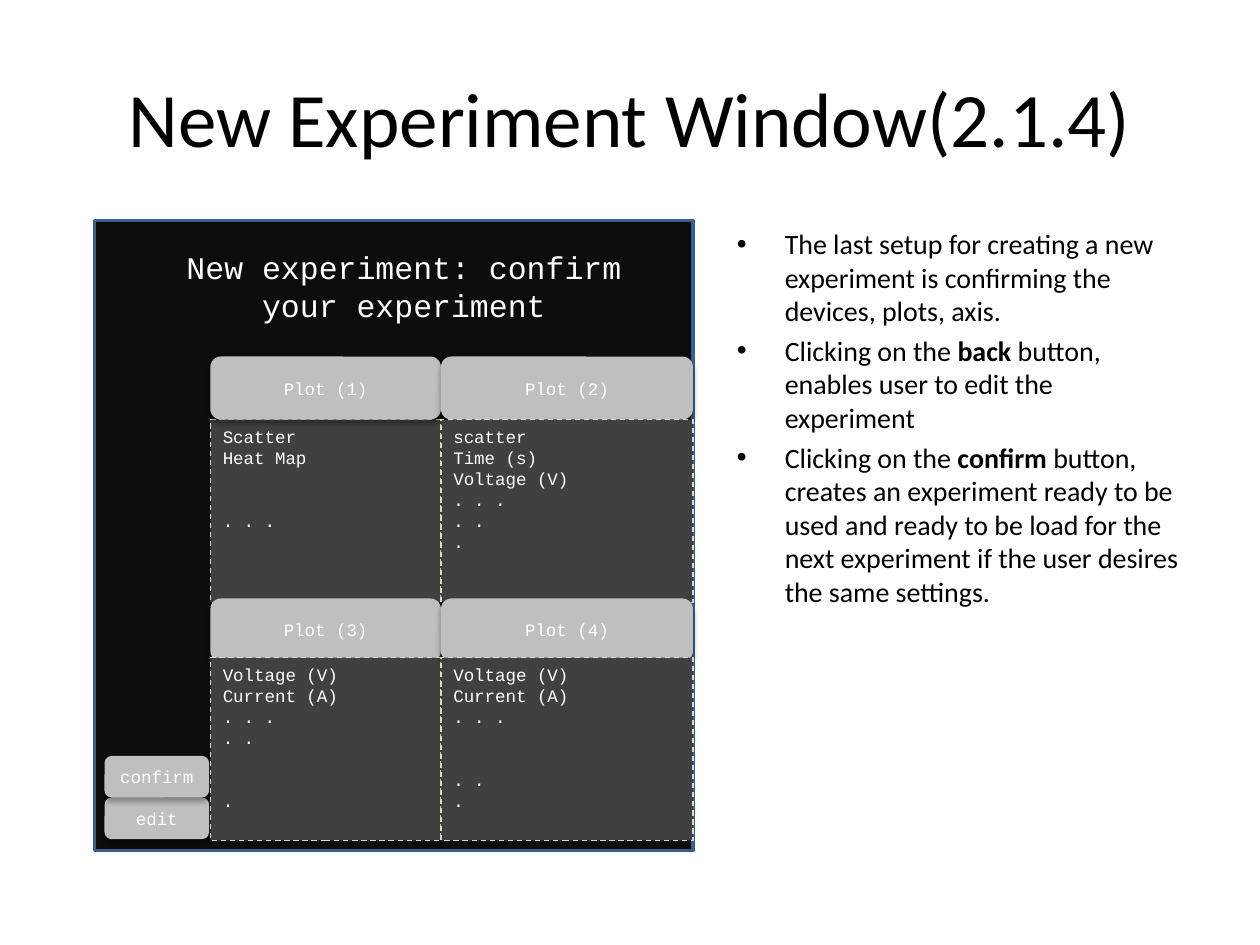
from dataclasses import dataclass
from lxml import etree
from pptx import Presentation
from pptx.dml.color import RGBColor
from pptx.enum.dml import MSO_LINE
from pptx.enum.shapes import MSO_SHAPE
from pptx.enum.text import MSO_ANCHOR, PP_ALIGN
from pptx.oxml import parse_xml
from pptx.oxml.ns import nsdecls, qn
from pptx.util import Inches, Pt

RECT = MSO_SHAPE.RECTANGLE
ROUND = MSO_SHAPE.ROUNDED_RECTANGLE
DASH = MSO_LINE.DASH
TOP, MIDDLE = MSO_ANCHOR.TOP, MSO_ANCHOR.MIDDLE
LEFT, CENTER = PP_ALIGN.LEFT, PP_ALIGN.CENTER


@dataclass(frozen=True)
class Theme:
    sans: str = "Calibri"
    mono: str = "Courier New"
    black: str = "000000"
    white: str = "FFFFFF"
    window: str = "0D0D0D"
    frame: str = "3A5F8C"
    button: str = "BFBFBF"
    panel: str = "404040"
    edge: str = "DDD9C3"
    title: float = 44
    head: float = 18
    body: float = 16
    small: float = 10
    gap: float = 24
    space: float = 3.4


class Deck:
    def __init__(self, slide, theme):
        self.slide = slide
        self.theme = theme

    def style(self, para, font, size, color, align=LEFT):
        para.alignment = align
        for run in para.runs:
            run.font.name = font
            run.font.size = Pt(size)
            run.font.color.rgb = RGBColor.from_string(color)

    def box(self, area, kind, fill, line=None, width=0):
        shape = self.slide.shapes.add_shape(kind, *map(Inches, area))
        shape.shadow.inherit = False
        shape.fill.solid()
        shape.fill.fore_color.rgb = RGBColor.from_string(fill)
        if line:
            shape.line.color.rgb = RGBColor.from_string(line)
            shape.line.width = Pt(width)
        else:
            shape.line.fill.background()
        return shape

    def text(self, area, words, font, size, color, anchor=TOP):
        frame = self.slide.shapes.add_textbox(*map(Inches, area)).text_frame
        frame.word_wrap = True
        frame.vertical_anchor = anchor
        frame.text = words
        self.style(frame.paragraphs[0], font, size, color, CENTER)

    def button(self, area, words):
        t = self.theme
        shape = self.box(area, ROUND, t.button)
        effects = shape._element.spPr.find(qn("a:effectLst"))
        effects.append(parse_xml(
            f'<a:outerShdw {nsdecls("a")} blurRad="{Pt(3.5)}" dist="{Pt(2.2)}" '
            f'dir="5400000" rotWithShape="0"><a:srgbClr val="{t.black}">'
            '<a:alpha val="32000"/></a:srgbClr></a:outerShdw>'))
        frame = shape.text_frame
        frame.vertical_anchor = MIDDLE
        frame.text = words
        self.style(frame.paragraphs[0], t.mono, t.small, t.white, CENTER)

    def panel(self, area, lines, gap):
        t = self.theme
        shape = self.box(area, RECT, t.panel, t.edge, 0.75)
        shape.line.dash_style = DASH
        frame = shape.text_frame
        frame.vertical_anchor = TOP
        frame.text = "\n".join(lines)
        for n, para in enumerate(frame.paragraphs):
            self.style(para, t.mono, t.small, t.white)
            if n == gap:
                para.space_before = Pt(t.gap)

    def bullets(self, area, items):
        t = self.theme
        frame = self.slide.shapes.add_textbox(*map(Inches, area)).text_frame
        frame.word_wrap = True
        for n, parts in enumerate(items):
            para = frame.add_paragraph() if n else frame.paragraphs[0]
            for i, part in enumerate(parts):
                run = para.add_run()
                run.text = part
                run.font.bold = i == 1
            self.style(para, t.sans, t.body, t.black)
            para.space_before = Pt(t.space)
            props = para._p.get_or_add_pPr()
            props.set("marL", str(Inches(0.38)))
            props.set("indent", str(-Inches(0.38)))
            font = etree.SubElement(props, qn("a:buFont"))
            font.set("typeface", "Arial")
            etree.SubElement(props, qn("a:buChar")).set("char", "•")


COLS = [(1.67, 1.83), (3.5, 2)]
ROWS = [(2.83, 3.33), (4.75, 5.22)]
PLOTS = [
    (["Scatter", "Heat Map", ". . ."], 2),
    (["scatter", "Time (s)", "Voltage (V)", ". . .", ". .", "."], None),
    (["Voltage (V)", "Current (A)", ". . .", ". .", "."], 4),
    (["Voltage (V)", "Current (A)", ". . .", ". .", "."], 3),
]
NOTES = [
    ["The last setup for creating a new experiment is confirming the "
     "devices, plots, axis."],
    ["Clicking on the ", "back",
     " button, enables user to edit the experiment"],
    ["Clicking on the", " confirm ",
     "button, creates an experiment ready to be used and ready to be load "
     "for the next experiment if the user desires the same settings."],
]


def main():
    show = Presentation()
    show.slide_width, show.slide_height = Inches(10), Inches(7.5)
    t = Theme()
    deck = Deck(show.slides.add_slide(show.slide_layouts[6]), t)

    deck.box((0.75, 1.75, 4.75, 5), RECT, t.window, t.frame, 2)
    deck.text((0.5, 0.3, 9, 1.25), "New Experiment Window(2.1.4)",
              t.sans, t.title, t.black, MIDDLE)
    deck.bullets((5.75, 1.75, 3.75, 4.95), NOTES)
    deck.text((1.33, 1.92, 3.75, 0.71),
              "New experiment: confirm your experiment",
              t.mono, t.head, t.white)
    for top, words in [(6.33, "edit"), (6, "confirm")]:
        deck.button((0.83, top, 0.83, 0.33), words)

    for n, (lines, gap) in enumerate(PLOTS):
        row, col = divmod(n, 2)
        left, width = COLS[col]
        head, body = ROWS[row]
        steps = [
            (deck.button, (left, head, width, 0.5), f"Plot ({n + 1})"),
            (deck.panel, (left, body, width, 1.45), lines, gap),
        ]
        for draw, *args in steps if n else reversed(steps):
            draw(*args)

    show.save("out.pptx")


if __name__ == "__main__":
    main()
